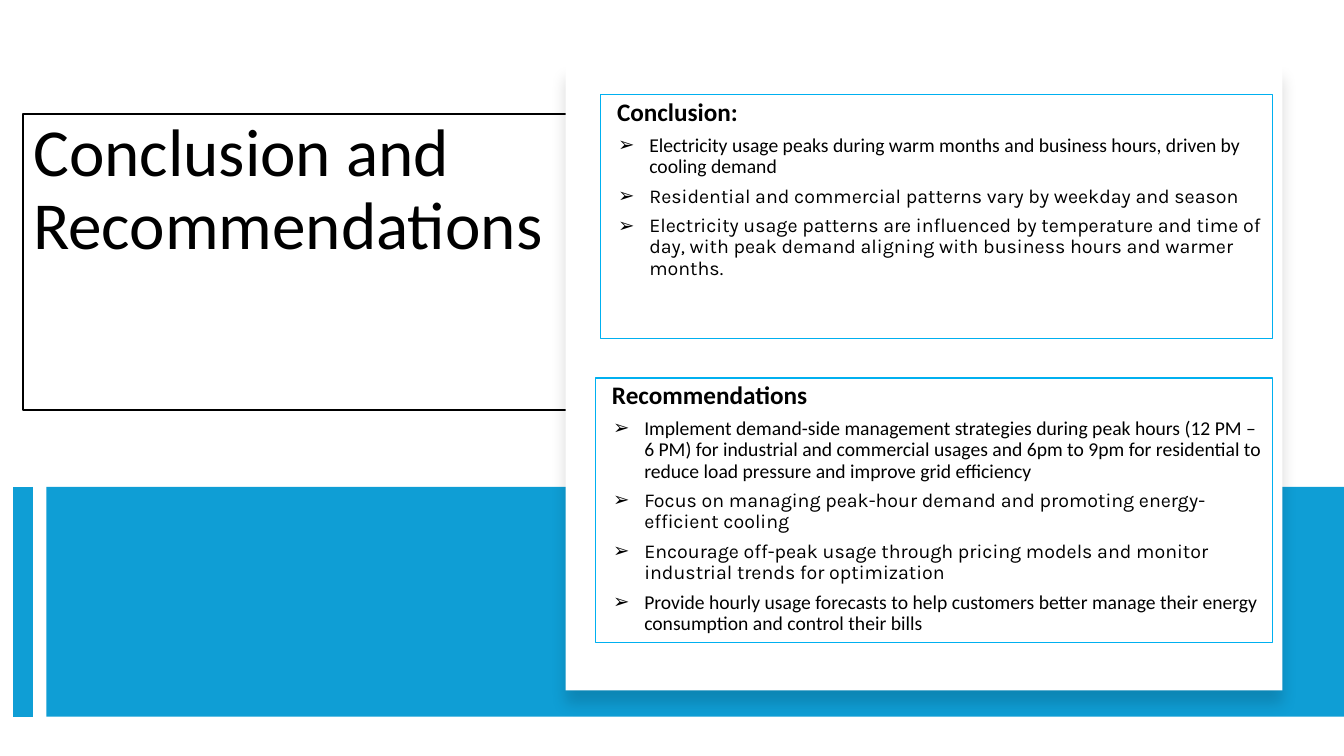
from lxml.etree import SubElement
from pptx import Presentation
from pptx.dml.color import RGBColor
from pptx.enum.shapes import MSO_CONNECTOR, MSO_SHAPE
from pptx.enum.text import MSO_ANCHOR, MSO_AUTO_SIZE, PP_ALIGN
from pptx.oxml import parse_xml
from pptx.oxml.ns import nsdecls, qn
from pptx.util import Inches, Pt

BLACK = RGBColor(0x00, 0x00, 0x00)
WHITE = RGBColor(0xFF, 0xFF, 0xFF)
BLUE = RGBColor(0x0F, 0x9E, 0xD5)
SKY = RGBColor(0x00, 0xB0, 0xF0)


def add_text(p, text, size=14, font="Calibri", bold=False, left=0, hanging=0, bullet=None):
    p.alignment = PP_ALIGN.LEFT
    p.line_spacing = 0.9
    p.space_before = Pt(0)
    p.space_after = Pt(6)
    pPr = p._p.get_or_add_pPr()
    pPr.set("marL", str(Inches(left)))
    pPr.set("indent", str(-Inches(hanging)))
    if bullet:
        SubElement(pPr, qn("a:buFont"), typeface="Arial")
        SubElement(pPr, qn("a:buChar"), char=bullet)
    else:
        SubElement(pPr, qn("a:buNone"))
    r = p.add_run()
    r.text = text
    r.font.size = Pt(size)
    r.font.name = font
    r.font.bold = bold
    r.font.color.rgb = BLACK


def place(sp, left, top, width, height, line, weight):
    sp.left, sp.top = Inches(left), Inches(top)
    sp.width, sp.height = Inches(width), Inches(height)
    sp.line.color.rgb = line
    sp.line.width = Pt(weight)
    tf = sp.text_frame
    tf.word_wrap = True
    tf.auto_size = MSO_AUTO_SIZE.NONE
    tf.vertical_anchor = MSO_ANCHOR.TOP
    return tf


prs = Presentation()
prs.slide_width, prs.slide_height = Inches(13.33), Inches(7.5)
s = prs.slides.add_slide(prs.slide_layouts[3])
title, conclusion, recommendations = s.placeholders

tf = place(title, 0.23, 1.13, 5.47, 2.94, BLACK, 1.5)
title.fill.solid()
title.fill.fore_color.rgb = WHITE
add_text(tf.paragraphs[0], "Conclusion and Recommendations", size=48)

blocks = [(0.46, 4.83, 12.87, 2.28, BLUE), (5.61, 0.64, 7.11, 6.21, WHITE)]
for left, top, width, height, color in blocks:
    card = s.shapes.add_shape(MSO_SHAPE.RECTANGLE, Inches(left), Inches(top), Inches(width), Inches(height))
    card.shadow.inherit = False
    card.fill.solid()
    card.fill.fore_color.rgb = color
    card.line.fill.background()

effects = card._element.spPr.find(qn("a:effectLst"))
effects.append(parse_xml(
    f'<a:outerShdw {nsdecls("a")} blurRad="{Pt(11)}" dist="{Pt(10)}" dir="5400000" algn="t" rotWithShape="0">'
    '<a:srgbClr val="000000"><a:alpha val="15000"/></a:srgbClr></a:outerShdw>'))

stripe = s.shapes.add_connector(MSO_CONNECTOR.STRAIGHT, Inches(0.23), Inches(4.83), Inches(0.23), Inches(7.11))
stripe.line.color.rgb = BLUE
stripe.line.width = Pt(14)
SubElement(stripe._element.spPr, qn("a:effectLst"))

panels = [
    (conclusion, (5.96, 0.94, 6.66, 2.42), "Conclusion:", [
        ("Electricity usage peaks during warm months and business hours, driven by cooling demand", "Calibri"),
        ("Residential and commercial patterns vary by weekday and season", "Karla"),
        ("Electricity usage patterns are influenced by temperature and time of day, with peak demand "
         "aligning with business hours and warmer months.", "Karla"),
    ]),
    (recommendations, (5.91, 3.75, 6.71, 2.62), "Recommendations", [
        ("Implement demand-side management strategies during peak hours (12 PM – 6 PM) for industrial and "
         "commercial usages and 6pm to 9pm for residential to reduce load pressure and improve grid efficiency",
         "Calibri"),
        ("Focus on managing peak-hour demand and promoting energy-efficient cooling", "Karla"),
        ("Encourage off-peak usage through pricing models and monitor industrial trends for optimization", "Karla"),
        ("Provide hourly usage forecasts to help customers better manage their energy consumption "
         "and control their bills", "Calibri"),
    ]),
]
for sp, box, heading, points in panels:
    tf = place(sp, *box, SKY, 0.75)
    add_text(tf.paragraphs[0], heading, size=18, bold=True, left=0.06)
    for text, font in points:
        add_text(tf.add_paragraph(), text, font=font, left=0.38, hanging=0.31, bullet="➢")
    s.shapes.element.append(sp.element)

prs.save("out.pptx")
